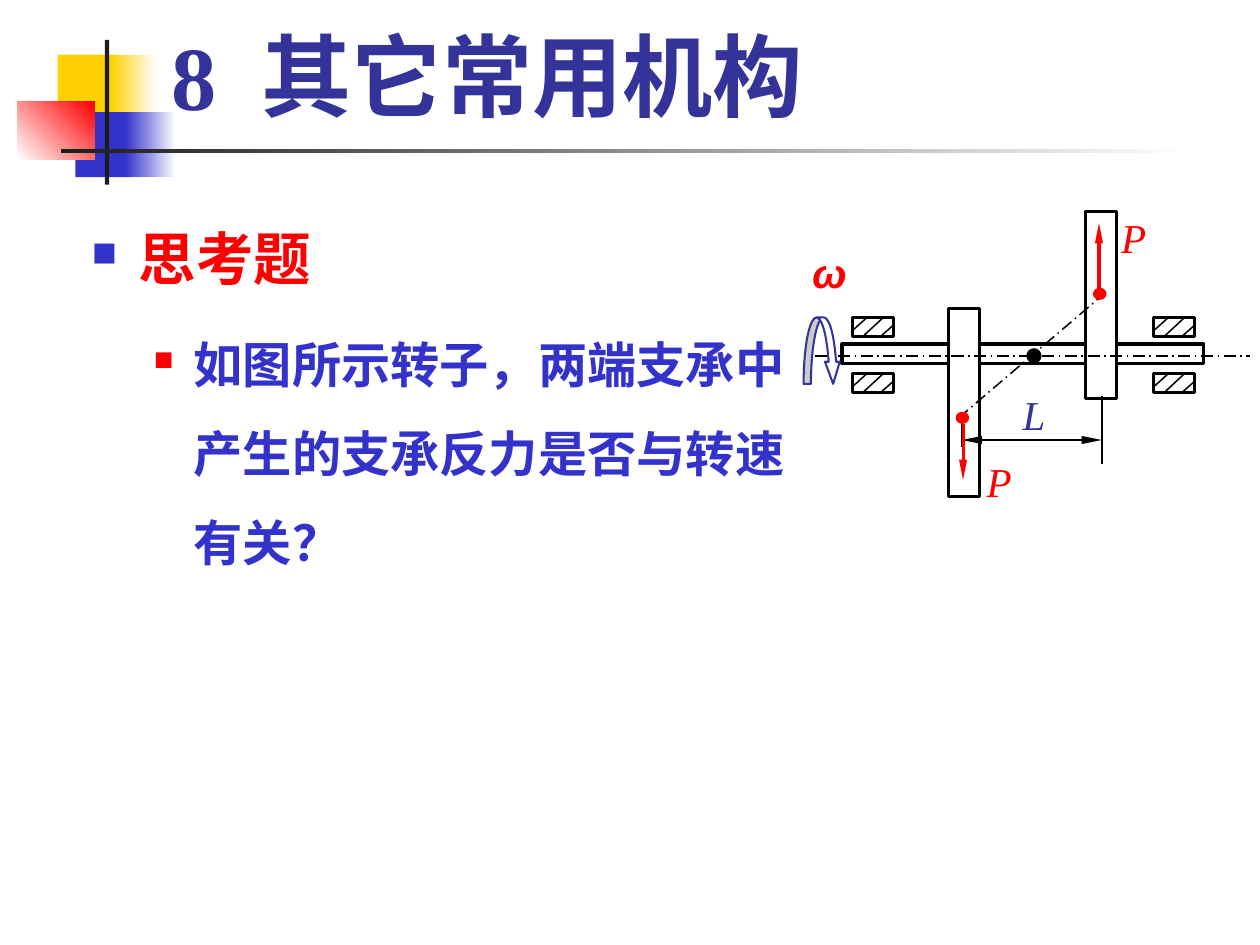
from dataclasses import dataclass
from typing import Any, NamedTuple, Optional

from lxml import etree
from pptx import Presentation
from pptx import util as u
from pptx.dml import color
from pptx.enum import dml, shapes, text
from pptx.oxml import ns


@dataclass(frozen=True)
class Theme:
    white: str = "FFFFFF"
    black: str = "000000"
    ink: str = "1C1C1C"
    yellow: str = "FFCF01"
    blue: str = "3333CC"
    navy: str = "333399"
    red: str = "FF0000"
    serif: str = "Times New Roman"
    sans: str = "Arial"
    title_size: float = 44
    heading_size: float = 28
    body_size: float = 24
    label_size: float = 20
    thin: float = 0.75
    thick: float = 1.5


THEME = Theme()


class Block(NamedTuple):
    left: float
    top: float
    width: float
    height: float
    start: str
    end: Optional[str] = None
    angle: float = 0


class Dot(NamedTuple):
    left: float
    top: float
    size: float
    line: str
    weight: float


class Label(NamedTuple):
    left: float
    top: float
    width: float
    words: str
    ink: str
    font: str = THEME.serif
    bold: bool = False


class Bullet(NamedTuple):
    words: str
    size: float
    ink: str
    mark: str
    percent: int
    left: float
    hang: float
    before: float


# Decoration beside the title
DECORATION = [
    Block(0.39, 0.37, 0.41, 0.44, THEME.yellow),
    Block(0.75, 0.37, 0.31, 0.44, THEME.yellow, THEME.white),
    Block(0.51, 0.76, 0.39, 0.44, THEME.blue),
    Block(0.85, 0.76, 0.34, 0.44, THEME.blue, THEME.white),
    Block(0.12, 0.69, 0.52, 0.39, THEME.white, THEME.red, 45),
    Block(0.71, 0.27, 0.03, 0.98, THEME.ink),
    Block(0.41, 1.01, 7.68, 0.03, THEME.ink, THEME.white),
]
BULLETS = [
    Bullet("思考题", THEME.heading_size, THEME.red, THEME.blue, 60, 0.32, 0.32, 0),
    Bullet("如图所示转子，两端支承中产生的支承反力是否与转速有关？",
           THEME.body_size, THEME.blue, THEME.red, 55, 0.69, 0.27, 6.2),
]
# Shaft and the two discs
ROTOR = [(5.7, 2.33, 2.45, 0.13), (6.42, 2.09, 0.21, 1.27), (7.35, 1.43, 0.21, 1.27)]
BEARING_LEFTS, BEARING_TOPS = (5.77, 7.81), (2.15, 2.53)
HATCHES = [(0, 0.09, 0.1, 0), (0.07, 0.13, 0.21, 0), (0.19, 0.13, 0.28, 0.05)]
DOTS = [
    Dot(6.49, 2.81, 0.05, THEME.red, 3),
    Dot(7.42, 1.97, 0.05, THEME.red, 3),
    Dot(6.98, 2.39, 0.04, THEME.black, 4.5),
]
LABELS = [
    Label(5.5, 1.68, 0.19, "ω", THEME.red, THEME.sans, True),
    Label(6.92, 2.64, 0.16, "L", THEME.navy),
    Label(6.68, 3.09, 0.17, "P", THEME.red),
    Label(7.59, 1.44, 0.17, "P", THEME.red),
]


def rgb(value: str) -> color.RGBColor:
    return color.RGBColor.from_string(value)


def add_figure(slide: Any, kind: Any, left: float, top: float, width: float, height: float,
               fill: str = THEME.white, line: Optional[str] = None,
               weight: float = THEME.thick) -> Any:
    shape = slide.shapes.add_shape(kind, *map(u.Inches, (left, top, width, height)))
    shape.shadow.inherit = False
    shape.fill.solid()
    shape.fill.fore_color.rgb = rgb(fill)
    if line:
        shape.line.color.rgb = rgb(line)
        shape.line.width = u.Pt(weight)
    else:
        shape.line.fill.background()
    return shape


def add_block(slide: Any, block: Block) -> None:
    shape = add_figure(slide, shapes.MSO_SHAPE.RECTANGLE, *block[:4], fill=block.start)
    if block.end:
        shape.fill.gradient()
        shape.fill.gradient_angle = block.angle
        for stop, value in zip(shape.fill.gradient_stops, (block.start, block.end)):
            stop.color.rgb = rgb(value)


def add_line(slide: Any, x1: float, y1: float, x2: float, y2: float, ink: str = THEME.black,
             weight: float = THEME.thin, dashed: bool = False, heads: tuple = ()) -> None:
    line = slide.shapes.add_connector(shapes.MSO_CONNECTOR.STRAIGHT,
                                      *map(u.Inches, (x1, y1, x2, y2)))
    line.line.color.rgb = rgb(ink)
    line.line.width = u.Pt(weight)
    if dashed:
        line.line.dash_style = dml.MSO_LINE.LONG_DASH_DOT
    for head in heads:
        etree.SubElement(line.line._get_or_add_ln(), ns.qn(f"a:{head}"),
                         type="triangle", w="sm", len="lg")
    etree.SubElement(line._element.spPr, ns.qn("a:effectLst"))


def add_box(slide: Any, left: float, top: float, width: float, height: float,
            anchor: Any, wrap: bool = True, inset: tuple = (0.09, 0.04)) -> Any:
    frame = slide.shapes.add_textbox(*map(u.Inches, (left, top, width, height))).text_frame
    frame.word_wrap = wrap
    frame.vertical_anchor = anchor
    frame.margin_left = frame.margin_right = u.Inches(inset[0])
    frame.margin_top = frame.margin_bottom = u.Inches(inset[1])
    return frame


def add_text(paragraph: Any, words: str, *, size: float, ink: str, font: str = THEME.serif,
             bold: bool = False, italic: bool = False, spacing: float = 0) -> None:
    run = paragraph.add_run()
    run.text = words
    run.font.size, run.font.name = u.Pt(size), font
    run.font.bold, run.font.italic = bold, italic
    run.font.color.rgb = rgb(ink)
    if spacing:
        run._r.get_or_add_rPr().set("spc", str(round(spacing * 100)))


def add_bullet(paragraph: Any, bullet: Bullet) -> None:
    properties = paragraph._p.get_or_add_pPr()
    properties.set("marL", str(u.Inches(bullet.left)))
    properties.set("indent", str(-u.Inches(bullet.hang)))
    tint = etree.SubElement(properties, ns.qn("a:buClr"))
    etree.SubElement(tint, ns.qn("a:srgbClr"), val=bullet.mark)
    etree.SubElement(properties, ns.qn("a:buSzPct"), val=str(bullet.percent * 1000))
    etree.SubElement(properties, ns.qn("a:buChar"), char="■")
    paragraph.line_spacing = 1.5
    paragraph.space_before = u.Pt(bullet.before)
    add_text(paragraph, bullet.words, size=bullet.size, ink=bullet.ink, bold=True)


def add_words(slide: Any) -> None:
    title = add_box(slide, 1.07, 0.09, 7.27, 0.82, text.MSO_ANCHOR.BOTTOM).paragraphs[0]
    for words, spacing in (("8", 0), (" ", 11), ("其它常用机构", 0)):
        add_text(title, words, size=THEME.title_size, ink=THEME.navy, bold=True, spacing=spacing)
    body = add_box(slide, 0.53, 1.24, 4.91, 4.78, text.MSO_ANCHOR.TOP)
    for index, bullet in enumerate(BULLETS):
        paragraph = body.add_paragraph() if index else body.paragraphs[0]
        paragraph.level = index
        add_bullet(paragraph, bullet)


def add_rotor(slide: Any) -> None:
    rectangle = shapes.MSO_SHAPE.RECTANGLE
    for part in ROTOR:
        add_figure(slide, rectangle, *part, line=THEME.black)
    add_line(slide, 5.52, 2.41, 8.46, 2.41, dashed=True)
    # Hatched bearings
    for left in BEARING_LEFTS:
        for top in BEARING_TOPS:
            add_figure(slide, rectangle, left, top, 0.28, 0.13, line=THEME.black)
            for x1, y1, x2, y2 in HATCHES:
                add_line(slide, left + x1, top + y1, left + x2, top + y2)
    add_line(slide, 6.49, 2.83, 7.44, 2.02, dashed=True)
    # Rotation arrow
    arrow = add_figure(slide, shapes.MSO_SHAPE.CURVED_DOWN_ARROW, 5.44, 2.15, 0.25, 0.45,
                       line=THEME.navy, weight=1)
    for index, value in enumerate((0.2, 0.4, 0.6)):
        arrow.adjustments[index] = value
    # Dimension L
    add_line(slide, 7.46, 3.14, 7.46, 2.68)
    add_line(slide, 6.51, 2.98, 7.46, 2.98, heads=("headEnd", "tailEnd"))
    add_line(slide, 6.51, 2.86, 6.51, 3.03)
    # Masses and their forces
    for dot in DOTS:
        add_figure(slide, shapes.MSO_SHAPE.OVAL, dot.left, dot.top, dot.size, 0.04,
                   line=dot.line, weight=dot.weight)
    for force in ((7.44, 1.97, 7.44, 1.51), (6.52, 2.87, 6.52, 3.25)):
        add_line(slide, *force, ink=THEME.red, weight=THEME.thick, heads=("tailEnd",))
    for label in LABELS:
        frame = add_box(slide, label.left, label.top, label.width, 0.33,
                        text.MSO_ANCHOR.MIDDLE, wrap=False, inset=(0, 0))
        frame.paragraphs[0].alignment = text.PP_ALIGN.CENTER
        add_text(frame.paragraphs[0], label.words, size=THEME.label_size, ink=label.ink,
                 font=label.font, bold=label.bold, italic=True)


def main() -> None:
    presentation = Presentation()
    presentation.slide_width, presentation.slide_height = u.Inches(8.53), u.Inches(6.4)
    slide = presentation.slides.add_slide(presentation.slide_layouts[6])
    for block in DECORATION:
        add_block(slide, block)
    add_words(slide)
    add_rotor(slide)
    presentation.save("out.pptx")


if __name__ == "__main__":
    main()
